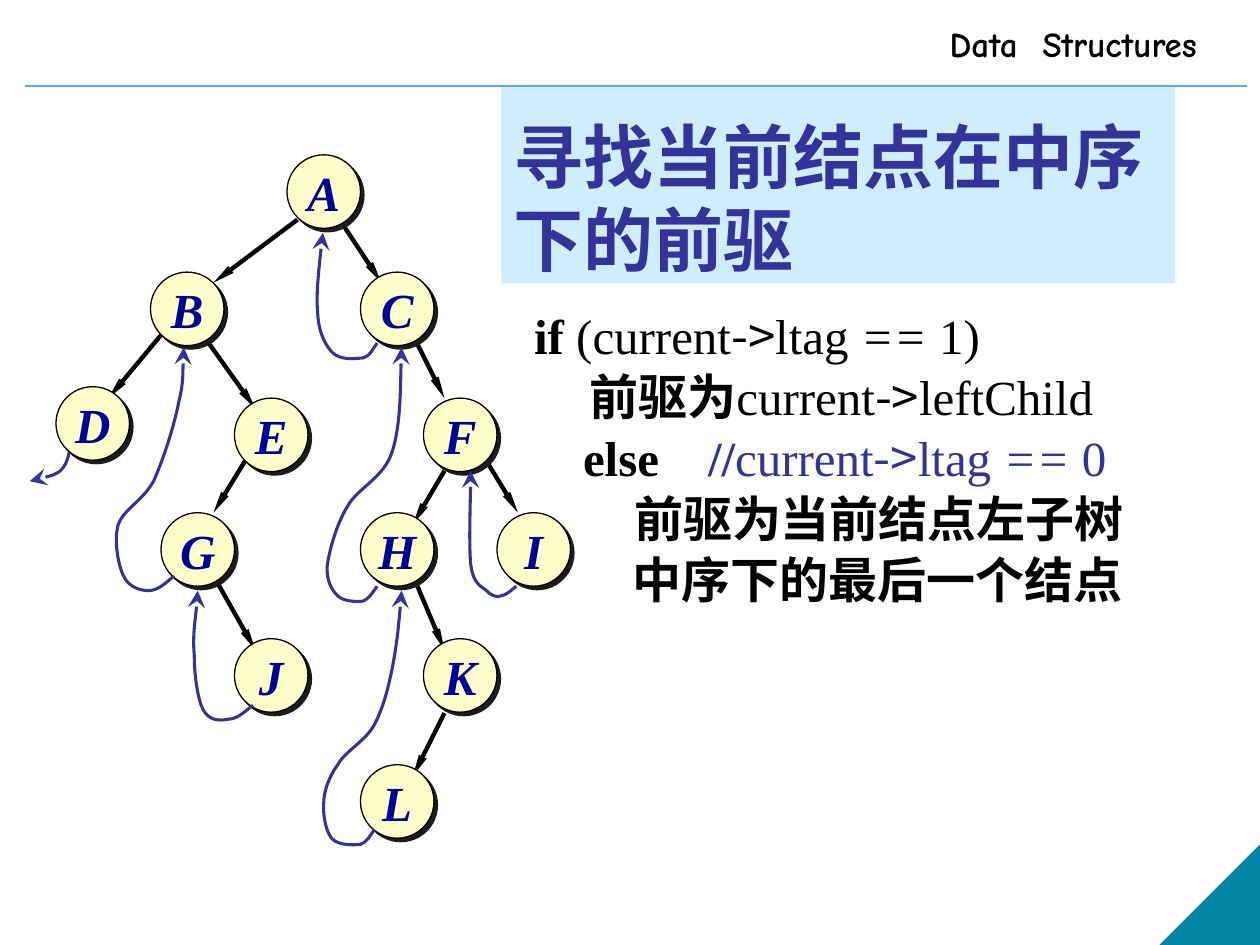
import itertools

import lxml.etree
import pptx
import pptx.dml.color
import pptx.enum.shapes
import pptx.enum.text
import pptx.oxml.ns
import pptx.util

Pt = pptx.util.Pt
RGBColor = pptx.dml.color.RGBColor
Shape = pptx.enum.shapes.MSO_SHAPE
Anchor = pptx.enum.text.MSO_ANCHOR
Align = pptx.enum.text.PP_ALIGN
qn = pptx.oxml.ns.qn

BLACK = RGBColor(0x00, 0x00, 0x00)
INDIGO = RGBColor(0x33, 0x33, 0x99)
NAVY = RGBColor(0x00, 0x00, 0x99)
CREAM = RGBColor(0xFF, 0xFF, 0xCC)
PALE_BLUE = RGBColor(0xCF, 0xED, 0xFE)
RULE_BLUE = RGBColor(0x5A, 0xAA, 0xED)
TEAL = RGBColor(0x00, 0x85, 0xA4)
SHADOW = RGBColor(0x1C, 0x1C, 0x1C)

SERIF = "Times New Roman"
CJK = "Noto Sans CJK SC"
NODE_SIZE = 42

NODES = {
    "A": (164, 88.5), "B": (86, 155.5), "C": (206, 155.5),
    "D": (32, 221), "E": (134, 227.5), "F": (242, 227.5),
    "G": (92, 293), "H": (206, 293), "I": (284, 293),
    "J": (134, 365), "K": (242, 365), "L": (206, 437),
}

BRANCHES = [
    ((170, 125.5), (122, 161.5)), ((194, 125.5), (218, 161.5)),
    ((92, 191.5), (62, 227.5)), ((116, 191.5), (146, 233.5)),
    ((236, 191.5), (254, 227.5)), ((140, 263.5), (122, 293)),
    ((254, 269), (236, 299.5)), ((278, 263.5), (296, 293)),
    ((122, 329), (146, 371.5)), ((236, 329), (254, 371.5)),
    ((254, 407.5), (236, 443.5)),
]

THREADS = [
    [(295, 335), (292.5, 337), (289.5, 340), (286.5, 340.5),
     (283.5, 341.5), (281, 340.5), (278, 337.5),
     (275, 335), (270.5, 334), (269, 322.5), (268, 312), (269, 278.5), (269, 269)],
    [(214, 474), (211.5, 477.5), (209.5, 481.5), (206, 482.5),
     (201.5, 483), (193.5, 483), (190, 479.5),
     (186.5, 476), (184.5, 466.5), (185, 459.5), (185, 452, ), (188, 444), (193, 437),
     (197.5, 429), (209, 423.5), (214, 414),
     (219, 404.5), (222, 393), (224.5, 380), (227, 367), (229, 345), (229.5, 337.5)],
    [(215.5, 335), (213, 338.5), (211, 342), (207.5, 343.5),
     (203, 344), (196, 343.5), (193, 340.5),
     (189.5, 337), (186.5, 332), (187, 323.5), (188, 315.5), (192, 300), (198.5, 289.5),
     (204.5, 278.5), (219, 273.5), (224, 258.5), (229, 243.5), (229, 209), (229.5, 198.5)],
    [(215.5, 196), (213, 199.5), (211, 204), (207.5, 204.5),
     (203, 205), (194.5, 206), (190, 201.5),
     (186, 197.5), (182, 190), (181.5, 178.5), (180.5, 168), (183.5, 141), (184.5, 133)],
    [(144.5, 403), (139.5, 407), (135.5, 411), (130.5, 411),
     (125.5, 412), (119.5, 412), (116, 405.5),
     (113, 399.5), (111, 386), (111, 374.5), (110, 363), (113, 343.5), (113, 337.5)],
    [(99.5, 329), (94.5, 333.5), (90, 337.5), (85, 337.5),
     (80, 337.5), (73.5, 335.5), (70.5, 329),
     (67.5, 322.5), (65, 309), (67.5, 300), (70.5, 291), (82, 286), (88, 274.5),
     (93.5, 262), (99.5, 243.5), (102, 230.5), (105, 218), (104.5, 204), (105, 198.5)],
    [(39.5, 258.5), (39, 262), (37.5, 266.5), (34, 269.5),
     (30, 272), (20, 274.5), (17, 275)],
]

SERIF_PLAIN = (SERIF, False, False, BLACK)
SERIF_BOLD = (SERIF, True, False, BLACK)
SERIF_ITALIC = (SERIF, False, True, BLACK)
CJK_PLAIN = (CJK, False, False, BLACK)
NOTE_PLAIN = (SERIF, False, False, INDIGO)
NOTE_BOLD = (SERIF, True, False, INDIGO)
NOTE_ITALIC = (SERIF, False, True, INDIGO)
NOTE_CJK = (CJK, False, False, INDIGO)

CODE = [
    [("if", SERIF_BOLD), (" (current", SERIF_PLAIN), ("->", CJK_PLAIN),
     ("ltag ", SERIF_PLAIN), ("== ", SERIF_ITALIC), ("1)", SERIF_PLAIN)],
    [("     前驱为", SERIF_BOLD), ("current", SERIF_PLAIN),
     ("->", CJK_PLAIN), ("leftChild", SERIF_PLAIN)],
    [("    else    ", SERIF_BOLD), ("//", NOTE_BOLD), ("current", NOTE_PLAIN),
     ("->", NOTE_CJK), ("ltag ", NOTE_PLAIN), ("== ", NOTE_ITALIC), ("0", NOTE_PLAIN)],
    [("         前驱为当前结点左子树", SERIF_BOLD)],
    [("         ", SERIF_PLAIN), ("中序下的最后一个结点", SERIF_BOLD)],
]


def add_child(parent, tag, **attributes):
    return lxml.etree.SubElement(parent, qn(tag), attributes)


def place(shape, left, top, width, height):
    shape.left, shape.top = Pt(left), Pt(top)
    shape.width, shape.height = Pt(width), Pt(height)


def style_span(span, size, font, bold, italic, color):
    span.font.size = Pt(size)
    span.font.name = font
    span.font.bold = bold
    span.font.italic = italic
    span.font.color.rgb = color
    add_child(span.font._element, "a:ea", typeface=CJK)


def style_line(shape, color, width):
    shape.line.color.rgb = color
    shape.line.width = Pt(width)


def add_arrowhead(shape, kind, width):
    outline = shape._element.spPr.find(qn("a:ln"))
    add_child(outline, "a:tailEnd", type=kind, w=width, len="lg")


def add_straight(shapes, start, end, color, width):
    line = shapes.add_connector(
        pptx.enum.shapes.MSO_CONNECTOR.STRAIGHT, *map(Pt, start + end))
    style_line(line, color, width)
    add_child(line._element.spPr, "a:effectLst")
    return line


def add_thread(shapes, points):
    start, *controls = [(Pt(x), Pt(y)) for x, y in points]
    builder = shapes.build_freeform(*start)
    builder.add_line_segments(controls, close=False)
    thread = builder.convert_to_shape()
    outline = next(thread._element.iter(qn("a:path")))
    segments = outline.findall(qn("a:lnTo"))
    for first in range(0, len(segments), 3):
        curve = add_child(outline, "a:cubicBezTo")
        for segment in segments[first:first + 3]:
            curve.append(segment[0])
            outline.remove(segment)
    thread.fill.background()
    thread.shadow.inherit = False
    style_line(thread, INDIGO, 1.75)
    add_arrowhead(thread, "stealth", "lg")


def add_node(shapes, label, left, top):
    node = shapes.add_shape(
        Shape.OVAL, Pt(left), Pt(top), Pt(NODE_SIZE), Pt(NODE_SIZE))
    node.fill.solid()
    node.fill.fore_color.rgb = CREAM
    style_line(node, BLACK, 0.75)
    node.shadow.inherit = False
    effects = node._element.spPr.find(qn("a:effectLst"))
    shadow = add_child(effects, "a:outerShdw", dist=str(Pt(2.8)),
                       dir="2700000", algn="ctr", rotWithShape="0")
    add_child(shadow, "a:srgbClr", val=str(SHADOW))
    frame = node.text_frame
    frame.text = label
    frame.word_wrap = False
    frame.vertical_anchor = Anchor.MIDDLE
    para = frame.paragraphs[0]
    para.alignment = Align.CENTER
    style_span(para.runs[0], 28, SERIF, True, True, NAVY)


def add_header(page):
    add_straight(page.shapes, (14.4, 49), (712.8, 49), RULE_BLUE, 1)
    corner = page.shapes.add_shape(
        Shape.RIGHT_TRIANGLE, Pt(663), Pt(483), Pt(57), Pt(57))
    corner._element.spPr.xfrm.set("flipH", "1")
    corner.fill.solid()
    corner.fill.fore_color.rgb = TEAL
    style_line(corner, TEAL, 0.75)
    corner.shadow.inherit = False
    box = page.shapes.add_textbox(Pt(535.5), Pt(9.5), Pt(187), Pt(31))
    box.text_frame.word_wrap = True
    box.text_frame.text = "Data  Structures"
    style_span(box.text_frame.paragraphs[0].runs[0],
               20, "Comic Neue", True, False, BLACK)


def fill_title(title):
    place(title, 286.5, 49, 385, 113)
    title.fill.solid()
    title.fill.fore_color.rgb = PALE_BLUE
    frame = title.text_frame
    frame.text = "寻找当前结点在中序\v下的前驱"
    frame.auto_size = pptx.enum.text.MSO_AUTO_SIZE.NONE
    frame.vertical_anchor = Anchor.BOTTOM
    frame.margin_bottom = Pt(1.5)
    para = frame.paragraphs[0]
    para.alignment = Align.LEFT
    para.line_spacing = Pt(47.5)
    for span in para.runs:
        style_span(span, 40, "Lato", True, False, INDIGO)


def fill_code(body):
    place(body, 298, 168.5, 420, 218)
    frame = body.text_frame
    frame.auto_size = pptx.enum.text.MSO_AUTO_SIZE.NONE
    frame.margin_top = Pt(6)
    for number, pieces in enumerate(CODE):
        para = frame.add_paragraph() if number else frame.paragraphs[0]
        properties = para._p.get_or_add_pPr()
        properties.set("marL", str(Pt(27)))
        properties.set("indent", str(Pt(-27)))
        add_child(properties, "a:buNone")
        para.line_spacing = Pt(33.5)
        para.space_before = Pt(1.4 if number else 0)
        for text, style in pieces:
            span = para.add_run()
            span.text = text
            style_span(span, 28, *style)


def add_tree(page):
    shapes = page.shapes.add_group_shape().shapes
    for start, end in BRANCHES:
        branch = add_straight(shapes, start, end, BLACK, 2.5)
        add_arrowhead(branch, "triangle", "sm")
    for label, (left, top) in NODES.items():
        add_node(shapes, label, left, top)
    for points in THREADS:
        add_thread(shapes, points)


def main():
    deck = pptx.Presentation()
    deck.slide_width, deck.slide_height = Pt(720), Pt(540)
    page = deck.slides.add_slide(deck.slide_layouts[1])
    add_header(page)
    fill_title(page.shapes.title)
    fill_code(page.placeholders[1])
    add_tree(page)
    deck.save("out.pptx")


if __name__ == "__main__":
    main()
